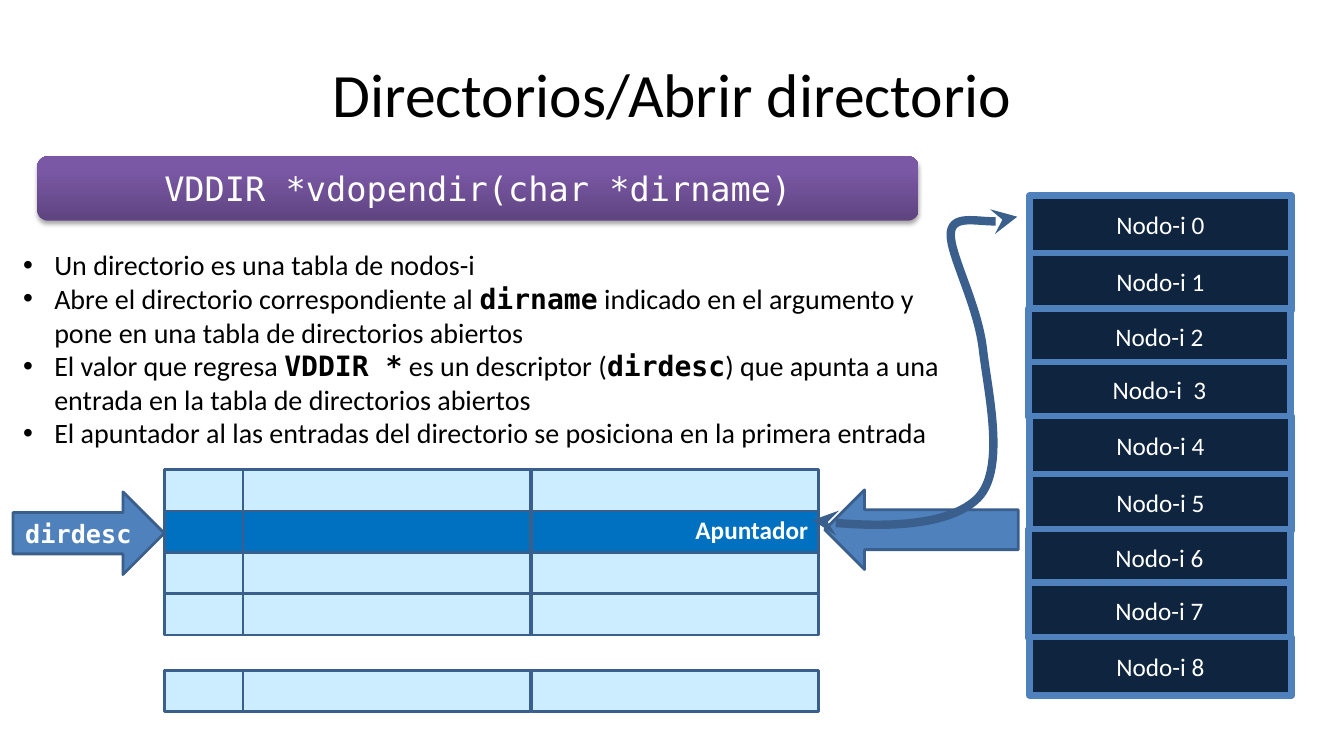
from lxml.etree import SubElement
from pptx import Presentation
from pptx.dml.color import RGBColor
from pptx.enum.shapes import MSO_SHAPE
from pptx.enum.text import MSO_ANCHOR, PP_ALIGN
from pptx.oxml.ns import qn
from pptx.util import Inches, Pt

COLORS = {
    "black": "000000", "white": "FFFFFF", "navy": "0F243E",
    "blue": "4F81BD", "edge": "3A5F8C", "pale": "CCECFF",
    "strong": "0070C0", "plum": "5F4480", "violet": "7B58A6",
}
SANS, MONO = "Calibri", "DejaVu Sans Mono"
ROWS = 75
POINTS = [
    "Un directorio es una tabla de nodos-i",
    "Abre el directorio correspondiente al `dirname` indicado en el argumento "
    "y pone en una tabla de directorios abiertos",
    "El valor que regresa `VDDIR *` es un descriptor (`dirdesc`) que apunta a una "
    "entrada en la tabla de directorios abiertos",
    "El apuntador al las entradas del directorio se posiciona en la primera entrada",
]
CURVE = [
    (80.6, 51.6), (85.5, 52.4), (94.2, 52.2), (97, 49.4),
    (99.8, 46.5), (98, 39), (97.5, 34.7),
    (97, 30.3), (94.3, 25.4), (94.3, 23.3),
    (94.3, 21.2), (100.9, 22.5), (100.9, 21.5),
]


def shade(name):
    return RGBColor.from_string(COLORS[name])


class Board:
    def __init__(self, deck):
        self.slide = deck.slides.add_slide(deck.slide_layouts[6])
        self.shapes = self.slide.shapes
        self.unit = deck.slide_height / ROWS

    def grid(self, *cells):
        return [round(cell * self.unit) for cell in cells]

    def style(self, run, size, face=SANS, color="black", bold=False):
        font = run.font
        font.size, font.name, font.bold = Pt(size), face, bold
        font.color.rgb = shade(color)

    def label(self, shape, text, size, align=PP_ALIGN.CENTER, **look):
        frame = shape.text_frame
        frame.text = text
        frame.vertical_anchor = MSO_ANCHOR.MIDDLE
        para = frame.paragraphs[0]
        para.alignment = align
        self.style(para.runs[0], size, **look)

    def text(self, area, text, size, wrap=True, **look):
        box = self.shapes.add_textbox(*self.grid(*area))
        box.text_frame.word_wrap = wrap
        self.label(box, text, size, **look)

    def shape(self, area, kind=MSO_SHAPE.RECTANGLE, fill="blue", line="edge", width=2):
        item = self.shapes.add_shape(kind, *self.grid(*area))
        item.shadow.inherit = False
        item.fill.solid()
        item.fill.fore_color.rgb = shade(fill)
        item.line.color.rgb = shade(line)
        item.line.width = Pt(width)
        return item

    def banner(self, area, text):
        item = self.shape(area, MSO_SHAPE.ROUNDED_RECTANGLE)
        item.line.fill.background()
        item.fill.gradient()
        item.fill.gradient_angle = 90
        for stop, spot, name in zip(item.fill.gradient_stops, (0, 0.8), ("plum", "violet")):
            stop.position = spot
            stop.color.rgb = shade(name)
        glow = SubElement(
            item._element.spPr.find(qn("a:effectLst")), qn("a:outerShdw"),
            blurRad=str(Pt(3.1)), dist=str(Pt(1.8)), dir="5400000", rotWithShape="0")
        tint = SubElement(glow, qn("a:srgbClr"), val=COLORS["black"])
        SubElement(tint, qn("a:alpha"), val="35000")
        self.label(item, text, 24, face=MONO, color="white")

    def bullets(self, area, lines):
        frame = self.shapes.add_textbox(*self.grid(*area)).text_frame
        frame.word_wrap = True
        for i, line in enumerate(lines):
            para = frame.add_paragraph() if i else frame.paragraphs[0]
            props = para._p.get_or_add_pPr()
            dent = Inches(0.31)
            props.set("marL", str(dent))
            props.set("indent", str(-dent))
            SubElement(props, qn("a:buFont"), typeface="Arial")
            SubElement(props, qn("a:buChar"), char="•")
            for j, part in enumerate(line.split("`")):
                run = para.add_run()
                run.text = part
                code = j % 2 == 1
                self.style(run, 20, MONO if code else SANS, bold=code)

    def curve(self, spots, width):
        start, *rest = [self.grid(*spot) for spot in spots]
        pen = self.shapes.build_freeform(*start)
        pen.add_line_segments(rest, close=False)
        item = pen.convert_to_shape()
        item.shadow.inherit = False
        item.fill.background()
        item.line.color.rgb = shade("edge")
        item.line.width = Pt(width)
        steps = list(item._element.iter(qn("a:lnTo")))
        trace = steps[0].getparent()
        for i in range(0, len(steps), 3):
            bend = SubElement(trace, qn("a:cubicBezTo"))
            for step in steps[i:i + 3]:
                bend.append(step[0])
                trace.remove(step)
        for end in ("a:headEnd", "a:tailEnd"):
            SubElement(item.line._get_or_add_ln(), qn(end), type="stealth")


def main():
    deck = Presentation()
    deck.slide_width, deck.slide_height = Inches(13.33), Inches(7.5)
    board = Board(deck)

    board.text((6.7, 3, 120, 12.5), "Directorios/Abrir directorio", 44)

    for i in range(9):
        turn, step = divmod(i, 4)
        left = 102.1 if step < 2 else 102
        top = 19.4 + 21.9 * turn + (0, 5.7, 11.2, 16.5)[step]
        node = board.shape((left, top, 26, 5.8 - step / 10), fill="navy", line="blue", width=4.5)
        gap = "  " if i == 3 else " "
        board.label(node, f"Nodo-i{gap}{i}", 18, color="white")

    board.banner((3.7, 15.5, 87.4, 6.4), "VDDIR *vdopendir(char *dirname)")
    board.bullets((1.3, 24.1, 94.5, 21.2), POINTS)

    for top in (46.6, 50.7, 54.8, 58.9, 66.5):
        for left, wide in ((16.3, 7.9), (24.1, 28.5), (52.7, 28.5)):
            board.shape((left, top, wide, 4.1), fill="strong" if top == 50.7 else "pale")

    board.shape((81.8, 48.6, 19.2, 7.9), MSO_SHAPE.LEFT_ARROW)
    arrow = board.shape((1.3, 48.8, 15, 8.2), MSO_SHAPE.RIGHT_ARROW)
    board.label(arrow, "dirdesc", 18, face=MONO, color="white", bold=True)
    board.text((68, 50.5, 13.3, 4), "Apuntador", 18, wrap=False,
               align=PP_ALIGN.LEFT, color="white", bold=True)
    board.curve(CURVE, 6)
    deck.save("out.pptx")


if __name__ == "__main__":
    main()
